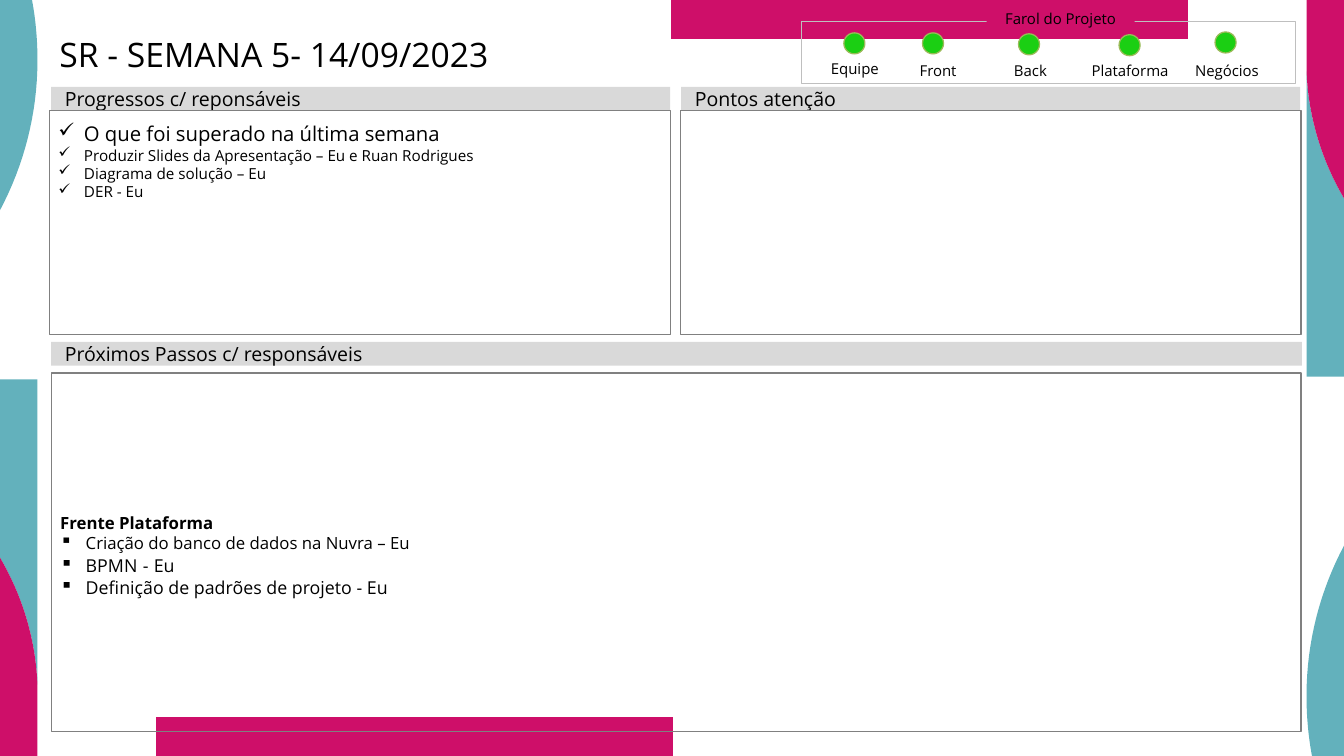
from lxml.etree import SubElement as add_element
from pptx import Presentation
from pptx.dml.color import RGBColor
from pptx.enum.shapes import MSO_SHAPE as Preset
from pptx.enum.text import MSO_ANCHOR as Anchor, PP_ALIGN as Align
from pptx.oxml.ns import qn
from pptx.util import Inches, Pt

TEAL = RGBColor(0x63, 0xB1, 0xBC)
MAGENTA = RGBColor(0xCE, 0x0F, 0x69)
BLACK = RGBColor(0x00, 0x00, 0x00)
HEADER_GREY = RGBColor(0xD9, 0xD9, 0xD9)
PANEL_GREY = RGBColor(0x80, 0x80, 0x80)
FRAME_GREY = RGBColor(0xBF, 0xBF, 0xBF)
LIGHT_GREEN = RGBColor(0x1B, 0xCF, 0x13)
RIM_GREEN = RGBColor(0x9B, 0xBB, 0x59)

FONT = "Open Sans"
COLUMNS, ROWS = 147, 82.7
CURVE_STEPS = 16
HANGING = Inches(0.28)


def add_span(para, text, size, bold=False):
    span = para.add_run()
    span.text = text
    span.font.name = FONT
    span.font.size = Pt(size)
    span.font.bold = bold
    span.font.color.rgb = BLACK


def write(box, paras, align=Align.LEFT, anchor=Anchor.TOP, insets=(0, 0, 0, 0), wrap=True):
    """Fill a box with paragraphs, each given as (bullet, [(text, size, bold), ...])."""
    frame = box.text_frame
    frame.word_wrap = wrap
    frame.vertical_anchor = anchor
    (frame.margin_left, frame.margin_top,
     frame.margin_right, frame.margin_bottom) = map(Inches, insets)
    for index, (bullet, spans) in enumerate(paras):
        para = frame.add_paragraph() if index else frame.paragraphs[0]
        para.alignment = align
        for span in spans:
            add_span(para, *span)
        if bullet:
            settings = para._p.get_or_add_pPr()
            settings.set("marL", str(HANGING))
            settings.set("indent", str(-HANGING))
            add_element(settings, qn("a:buChar")).set("char", bullet)
    return frame


def bend(start, first, second, end):
    """Points along a cubic curve, without its start."""
    for step in range(1, CURVE_STEPS + 1):
        t = step / CURVE_STEPS
        weights = ((1 - t) ** 3, 3 * t * (1 - t) ** 2, 3 * t * t * (1 - t), t ** 3)
        yield tuple(sum(weight * point[axis] for weight, point
                        in zip(weights, (start, first, second, end))) for axis in (0, 1))


class StatusPage:
    """The page, its grid of columns and rows, and its style."""

    def __init__(self, deck):
        self.shapes = deck.slides.add_slide(deck.slide_layouts[6]).shapes
        self.column = deck.slide_width / COLUMNS
        self.row = deck.slide_height / ROWS

    def place(self, left, top, width, height):
        return (round(left * self.column), round(top * self.row),
                round(width * self.column), round(height * self.row))

    def paint(self, shape, fill=None, line=None, weight=1):
        shape.shadow.inherit = False
        if fill is None:
            shape.fill.background()
        else:
            shape.fill.solid()
            shape.fill.fore_color.rgb = fill
        if line is None:
            shape.line.fill.background()
        else:
            shape.line.color.rgb = line
            shape.line.width = Pt(weight)
        return shape

    def box(self, *place, preset=Preset.RECTANGLE, **style):
        return self.paint(self.shapes.add_shape(preset, *self.place(*place)), **style)

    def text(self, place, paras, **style):
        return write(self.shapes.add_textbox(*self.place(*place)), paras, **style)

    def outline(self, points, fill):
        spots = [(round(x * self.column), round(y * self.row)) for x, y in points]
        builder = self.shapes.build_freeform(*spots[0], scale=1.0)
        builder.add_line_segments(spots[1:], close=True)
        self.paint(builder.convert_to_shape(), fill)

    def twin_outlines(self, points, fill):
        """An outline and its half-turn twin on the opposite side."""
        self.outline(points, fill)
        self.outline([(COLUMNS - x, ROWS - y) for x, y in points], fill)

    def header(self, place, title):
        write(self.box(*place, fill=HEADER_GREY), [(None, [(title, 15.4)])],
              anchor=Anchor.MIDDLE, insets=(0.15, 0.07, 0.15, 0.07))

    def panel(self, place, paras=(), **style):
        return write(self.box(*place, line=PANEL_GREY), paras,
                     insets=(0.1, 0.12, 0.1, 0.05), **style)

    def caption(self, place, label, fill=None):
        write_style = dict(align=Align.CENTER, anchor=Anchor.BOTTOM,
                           insets=(0.06, 0.06, 0.06, 0), wrap=False)
        paras = [(None, [(label, 11.8)])]
        if fill is None:
            self.text(place, paras, **write_style)
        else:
            write(self.box(*place, fill=fill), paras, **write_style)


def main():
    deck = Presentation()
    deck.slide_width, deck.slide_height = Inches(14.7), Inches(8.27)
    page = StatusPage(deck)

    # Border decoration
    edge = 142.9
    page.twin_outlines([(3.5, 0), (0, 0), (0, 23),
                        *bend((0, 23), (2.6, 18.1), (4.1, 12.5), (4.1, 6.6)),
                        *bend((4.1, 6.6), (4.1, 4.3), (3.9, 2.1), (3.5, 0))], TEAL)
    page.twin_outlines([(73.4, 0), (129.9, 0), (129.9, 4.3), (73.4, 4.3)], MAGENTA)
    arc = list(bend((COLUMNS, 21.7), (144.6, 17.6), (143.1, 12.9), (edge, 7.8)))
    page.twin_outlines([(edge, 41.2), (COLUMNS, 41.2), (COLUMNS, 21.7), *arc], TEAL)
    page.twin_outlines([(edge, 0), (COLUMNS, 0), (COLUMNS, 21.7), *arc], MAGENTA)

    # Title
    title = page.text((5.3, 4.2, 132.3, 8.8), [(None, [("SR - SEMANA 5- 14/09/2023", 26.5)])],
                      insets=(0.12, 0, 0.12, 0))
    title.paragraphs[0].line_spacing = 0.9
    title.paragraphs[0].space_after = Pt(8.8)

    # Section headers
    page.header((5.6, 9.5, 67.7, 2.6), "Progressos c/ reponsáveis")
    page.header((74.5, 9.5, 67.7, 2.6), "Pontos atenção")
    page.header((5.6, 37.4, 136.8, 2.6), "Próximos Passos c/ responsáveis")

    # Panels
    page.panel((74.4, 12.1, 67.9, 24.5))
    page.panel((5.4, 12.1, 67.9, 24.5), [
        ("✓", [("O que foi superado na última semana", 16)]),
        ("✓", [("Produzir Slides da Apresentação – Eu e Ruan Rodrigues", 12)]),
        ("✓", [("Diagrama de solução – Eu", 12)]),
        ("✓", [("DER - Eu", 12)]),
    ])
    gap = (" ", 16, True)
    steps = page.panel((5.6, 40.8, 136.7, 39.2), [
        (None, [("Frente Plataforma", 13.2, True)]),
        ("▪", [("Criação do banco de dados na Nuvra – Eu", 13.2)]),
        ("▪", [("BPMN", 14), gap, ("-", 14), gap, ("Eu", 14)]),
        ("▪", [("Definição de padrões de projeto - Eu", 14)]),
    ], anchor=Anchor.MIDDLE)
    steps._txBody.bodyPr.set("numCol", "2")

    # Project traffic lights: label, label left and top, light left and top
    page.box(87.7, 2.3, 54, 6.8, line=FRAME_GREY, weight=0.5)
    for label, label_left, label_top, light_left, light_top in (
            ("Equipe", 88.6, 6.5, 92.3, 3.6),
            ("Front", 97.7, 6.7, 100.9, 3.6),
            ("Back", 107.8, 6.7, 111.4, 3.7),
            ("Plataforma", 118.7, 6.7, 122.4, 3.8),
            ("Negócios", 129.3, 6.7, 132.9, 3.5)):
        page.caption((label_left, label_top, 9.8, 2), label)
        page.box(light_left, light_top, 2.3, 2.3, preset=Preset.OVAL,
                 fill=LIGHT_GREEN, line=RIM_GREEN)
    page.caption((107.9, 0.7, 16.2, 2.3), "Farol do Projeto", fill=MAGENTA)

    deck.save("out.pptx")


if __name__ == "__main__":
    main()
